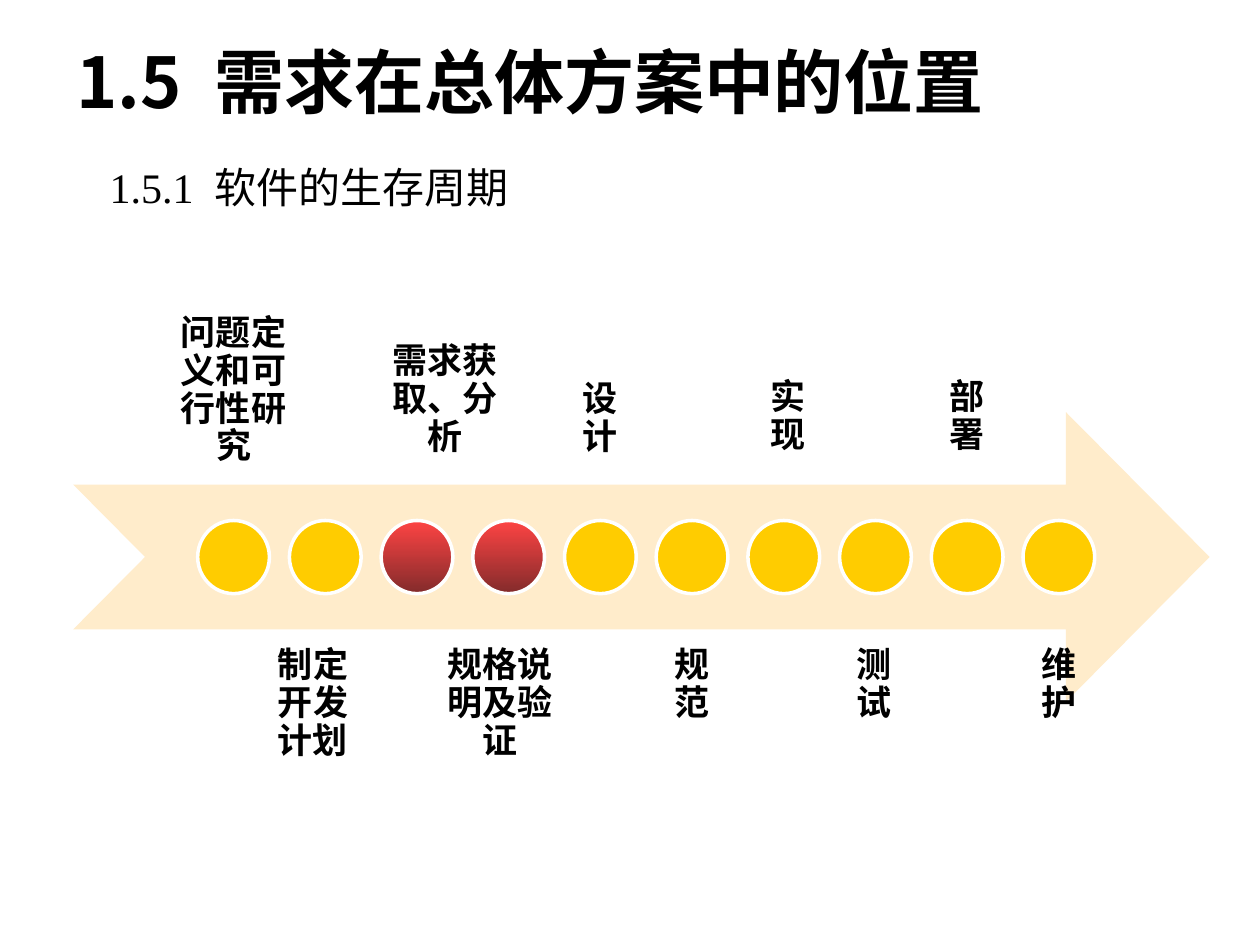
from dataclasses import dataclass

from pptx import Presentation
from pptx.dml.color import RGBColor
from pptx.enum.shapes import MSO_SHAPE as Preset
from pptx.enum.text import MSO_ANCHOR as Anchor, PP_ALIGN as Align
from pptx.oxml.ns import qn
from pptx.oxml.xmlchemy import OxmlElement
from pptx.shapes.autoshape import Shape
from pptx.slide import Slide
from pptx.util import Pt

COLORS = {
    "text": "000000",
    "arrow": "FFECCB",
    "stage": "FFCC00",
    "outline": "FFFFFF",
    "focus_top": "FE4444",
    "focus_bottom": "832B2B",
}
SANS, SERIF = "Noto Sans CJK SC", "Times New Roman"

# Timeline geometry, in points
FIRST_LEFT, PITCH = 113, 52.4
DOT_TOP, DOT_WIDTH, DOT_HEIGHT = 297.4, 41, 41.8
LABEL_BOTTOM, LABEL_TOP = 271, 360


@dataclass(frozen=True)
class Stage:
    name: str
    height: float
    width: float = 56
    shift: float = 0  # label centre relative to its dot
    drop: float = 0  # label lowered from the common edge
    focus: bool = False


# Labels alternate above and below the arrow
STAGES = [
    Stage("问题定义和可行性研究", 103, 91, drop=5.5),
    Stage("制定开发计划", 86, 69, shift=-7),
    Stage("需求获取、分析", 106, 84, shift=16, focus=True),
    Stage("规格说明及验证", 81, 92, shift=-5, focus=True),
    Stage("设计", 81),
    Stage("规范", 86),
    Stage("实现", 91, shift=2.5, drop=-1),
    Stage("测试", 63, shift=-1),
    Stage("部署", 73, drop=-1),
    Stage("维护", 69),
]


def color(name: str) -> RGBColor:
    return RGBColor.from_string(COLORS[name])


def format_span(span, size: float, font: str, bold: bool) -> None:
    span.font.size = Pt(size)
    span.font.name = font
    span.font.bold = bold
    span.font.color.rgb = color("text")
    east_asian = OxmlElement("a:ea")
    east_asian.set("typeface", SANS)
    span.font._element.find(qn("a:latin")).addnext(east_asian)


def add_box(slide: Slide, left: float, top: float, width: float, height: float) -> Shape:
    box = slide.shapes.add_textbox(Pt(left), Pt(top), Pt(width), Pt(height))
    box.text_frame.word_wrap = True
    return box


def add_heading(box: Shape, number: str, words: str, size: float, font: str, bold: bool) -> None:
    """Write a numbered heading with a widened space after the number."""
    para = box.text_frame.paragraphs[0]
    for text in (number, " ", words):
        span = para.add_run()
        span.text = text
        format_span(span, size, font, bold)
    para.runs[1].font._element.set("spc", str(round(size * 24)))


def add_shape(slide: Slide, preset: Preset, left: float, top: float,
              width: float, height: float) -> Shape:
    shape = slide.shapes.add_shape(preset, Pt(left), Pt(top), Pt(width), Pt(height))
    shape.shadow.inherit = False
    return shape


def add_label(slide: Slide, stage: Stage, center: float, above: bool) -> None:
    top = (LABEL_BOTTOM - stage.height if above else LABEL_TOP) + stage.drop
    box = add_box(slide, center - stage.width / 2, top, stage.width, stage.height)
    frame = box.text_frame
    frame.margin_left = frame.margin_right = Pt(10)
    frame.margin_top = frame.margin_bottom = Pt(10)
    frame.vertical_anchor = Anchor.BOTTOM if above else Anchor.TOP
    frame.text = stage.name
    para = frame.paragraphs[0]
    para.alignment = Align.CENTER
    para.line_spacing = 0.9
    para.space_after = Pt(7)
    format_span(para.runs[0], 20, SERIF, True)


def add_dot(slide: Slide, left: float, focus: bool) -> None:
    dot = add_shape(slide, Preset.OVAL, left, DOT_TOP, DOT_WIDTH, DOT_HEIGHT)
    if focus:
        dot.fill.gradient()
        dot.fill.gradient_angle = 270
        for stop, name in zip(dot.fill.gradient_stops, ("focus_top", "focus_bottom")):
            stop.color.rgb = color(name)
    else:
        dot.fill.solid()
        dot.fill.fore_color.rgb = color("stage")
    dot.line.color.rgb = color("outline")
    dot.line.width = Pt(2)


def main() -> None:
    deck = Presentation()
    deck.slide_width, deck.slide_height = Pt(720), Pt(540)
    page = deck.slides.add_slide(deck.slide_layouts[6])

    # Headings
    title = add_box(page, 36.7, 15, 646.5, 62)
    title.text_frame.vertical_anchor = Anchor.MIDDLE
    add_heading(title, "1.5", "需求在总体方案中的位置", 40, SANS, True)
    subtitle = add_box(page, 55.5, 88.5, 259, 36)
    add_heading(subtitle, "1.5.1", "软件的生存周期", 24, SERIF, False)

    # Arrow
    arrow = add_shape(page, Preset.NOTCHED_RIGHT_ARROW, 41.8, 235.5, 649.4, 165.6)
    arrow.adjustments[0], arrow.adjustments[1] = 0.5, 0.496
    arrow.fill.solid()
    arrow.fill.fore_color.rgb = color("arrow")
    arrow.line.fill.background()

    # Life cycle stages
    for index, stage in enumerate(STAGES):
        left = FIRST_LEFT + index * PITCH
        center = left + DOT_WIDTH / 2 + stage.shift
        add_label(page, stage, center, above=index % 2 == 0)
        add_dot(page, left, stage.focus)

    deck.save("out.pptx")


if __name__ == "__main__":
    main()
